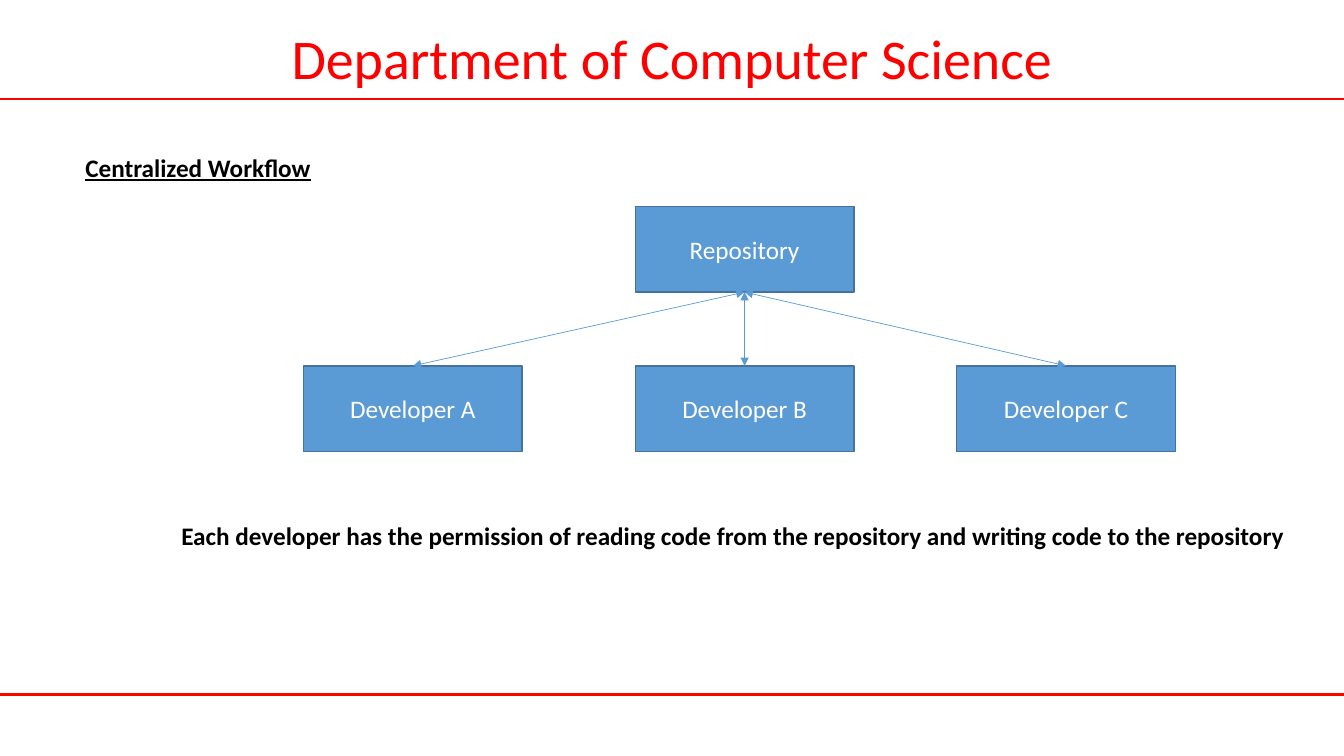
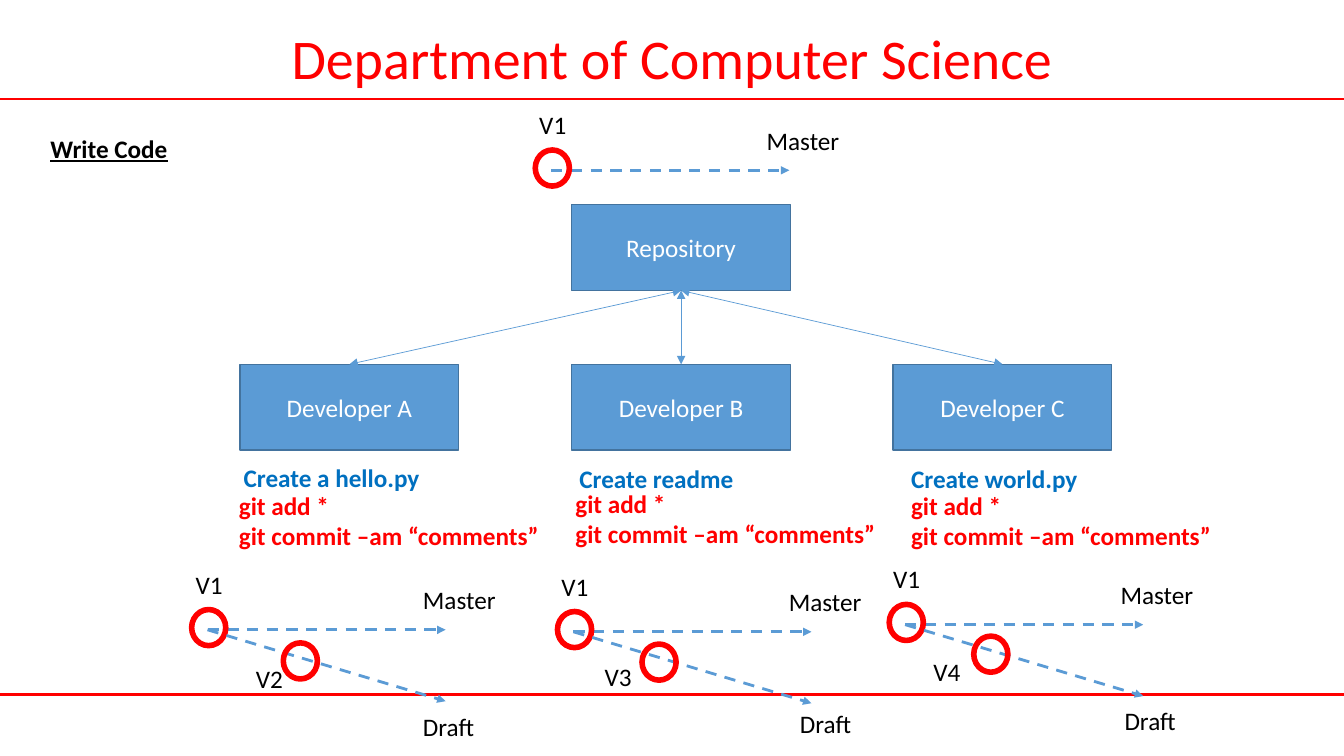
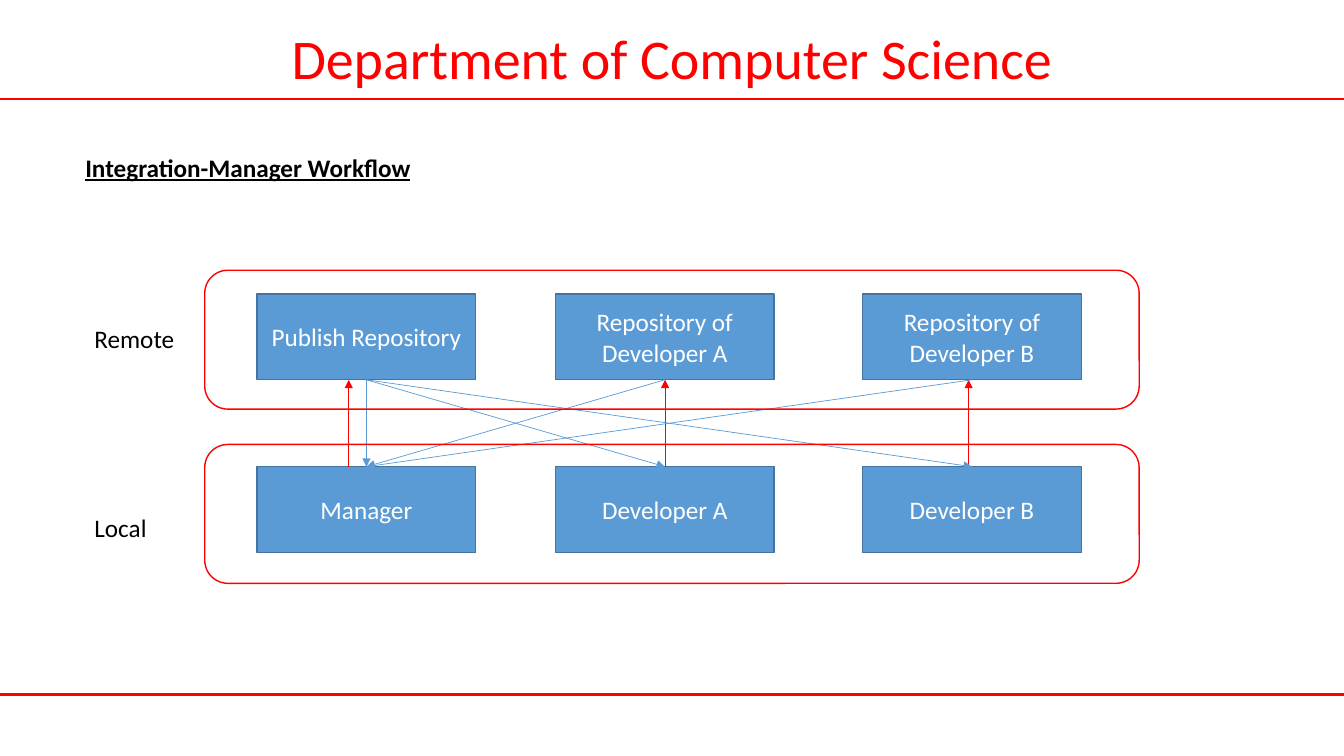
from dataclasses import dataclass
from typing import Optional

from lxml import etree
from pptx import Presentation
from pptx.dml.color import RGBColor
from pptx.enum.dml import MSO_LINE
from pptx.enum.shapes import MSO_CONNECTOR, MSO_SHAPE
from pptx.enum.text import MSO_ANCHOR, MSO_AUTO_SIZE, PP_ALIGN
from pptx.oxml.ns import qn
from pptx.shapes.autoshape import Shape
from pptx.slide import Slide
from pptx.text.text import TextFrame
from pptx.util import Cm, Pt

RED = RGBColor(0xFF, 0, 0)
BLUE = RGBColor(0x5B, 0x9B, 0xD5)
EDGE = RGBColor(0x43, 0x73, 0x9E)
TASK = RGBColor(0, 0x70, 0xC0)
BLACK = RGBColor(0, 0, 0)
WHITE = RGBColor(0xFF, 0xFF, 0xFF)

RECT, ROUND, OVAL = MSO_SHAPE.RECTANGLE, MSO_SHAPE.ROUNDED_RECTANGLE, MSO_SHAPE.OVAL
STRAIGHT, DASH = MSO_CONNECTOR.STRAIGHT, MSO_LINE.DASH
LEFT, CENTER, MIDDLE = PP_ALIGN.LEFT, PP_ALIGN.CENTER, MSO_ANCHOR.MIDDLE
FIT = MSO_AUTO_SIZE.SHAPE_TO_FIT_TEXT

FONT = "Calibri"
WIDE, HIGH = 33.87, 19.05
BOX_W, BOX_H = 5.51, 2.16
ROW_H = 1.02
Point = tuple[float, float]


@dataclass
class Label:
    text: str
    left: float
    top: float
    width: float
    height: float = ROW_H
    color: RGBColor = BLACK
    size: float = 18
    bold: bool = False
    under: bool = False
    align: PP_ALIGN = LEFT


@dataclass
class Link:
    start: Point
    end: Point
    color: RGBColor = BLUE
    width: float = 0.5
    dash: bool = False
    head: bool = False
    tail: bool = True


@dataclass
class Job:
    task: Label
    code: Point
    start: Point
    name: str
    name_at: Point
    commit: Point
    draft: Point


# Basic parts
def style(frame: TextFrame, spec: Label) -> None:
    frame.text = spec.text
    for para in frame.paragraphs:
        para.alignment = spec.align
        for run in para.runs:
            font = run.font
            font.name, font.size = FONT, Pt(spec.size)
            font.color.rgb = spec.color
            font.bold, font.underline = spec.bold, spec.under


def write(slide: Slide, label: Label) -> None:
    area = (label.left, label.top, label.width, label.height)
    frame = slide.shapes.add_textbox(*map(Cm, area)).text_frame
    frame.word_wrap = False
    frame.auto_size = FIT
    style(frame, label)


def shape(slide: Slide, kind: MSO_SHAPE, at: Point, size: Point,
          line: RGBColor, width: float, fill: Optional[RGBColor] = None) -> Shape:
    item = slide.shapes.add_shape(kind, *map(Cm, at + size))
    item.shadow.inherit = False
    if fill is None:
        item.fill.background()
    else:
        item.fill.solid()
        item.fill.fore_color.rgb = fill
    item.line.color.rgb, item.line.width = line, Pt(width)
    return item


def box(slide: Slide, text: str, at: Point) -> None:
    frame = shape(slide, RECT, at, (BOX_W, BOX_H), EDGE, 1, BLUE).text_frame
    frame.word_wrap = True
    frame.vertical_anchor = MIDDLE
    style(frame, Label(text, *at, BOX_W, color=WHITE, align=CENTER))


def ring(slide: Slide, at: Point) -> None:
    shape(slide, OVAL, at, (0.86, 0.91), RED, 4)


def join(slide: Slide, link: Link) -> None:
    wire = slide.shapes.add_connector(STRAIGHT, *map(Cm, link.start + link.end))
    wire.line.color.rgb, wire.line.width = link.color, Pt(link.width)
    if link.dash:
        wire.line.dash_style = DASH
    edge = wire.get_or_add_ln()
    for tag, shown in (("a:headEnd", link.head), ("a:tailEnd", link.tail)):
        if shown:
            etree.SubElement(edge, qn(tag), type="triangle")
    etree.SubElement(wire.element.spPr, qn("a:effectLst"))


# Groups of parts
def page(deck: Presentation, heading: Label) -> Slide:
    slide = deck.slides.add_slide(deck.slide_layouts[6])
    for y in (2.5, 17.5):
        join(slide, Link((0, y), (WIDE, y), RED, 1.5, tail=False))
    write(slide, Label("Department of Computer Science", 6.98, 0.46, 19.9, 1.96,
                       RED, 40, align=CENTER))
    heading.bold = heading.under = True
    write(slide, heading)
    return slide


def tree(slide: Slide, left: float, top: float) -> None:
    mid, low = left + 8.36, top + 4.02
    box(slide, "Repository", (mid, top))
    for letter, x in zip("ABC", (left, mid, left + 16.46)):
        box(slide, f"Developer {letter}", (x, low))
        join(slide, Link((x + BOX_W / 2, low), (mid + BOX_W / 2, top + BOX_H), head=True))


def branch(slide: Slide, start: Point) -> None:
    x, y = start
    join(slide, Link(start, (x + 6, y), width=2, dash=True))
    ring(slide, (x - 0.4, y - 0.51))
    write(slide, Label("V1", x - 0.55, y - 1.66, 1.19))
    write(slide, Label("Master", x + 5.18, y - 1.26, 2.36))


def work(slide: Slide, job: Job) -> None:
    write(slide, job.task)
    write(slide, Label("git add *\ngit commit –am “comments”", *job.code, 8.13, 1.8,
                       RED, bold=True))
    branch(slide, job.start)
    x, y = job.start
    join(slide, Link(job.start, (x + 6, y + 1.8), width=2, dash=True))
    ring(slide, job.commit)
    write(slide, Label(job.name, *job.name_at, 1.19))
    write(slide, Label("Draft", *job.draft, 1.83))


deck = Presentation()
deck.slide_width, deck.slide_height = Cm(WIDE), Cm(HIGH)

# Centralized workflow
slide = page(deck, Label("Centralized Workflow", 1.9, 3.71, 6.25))
tree(slide, 7.65, 5.2)
write(slide, Label("Each developer has the permission of reading code from the "
                   "repository and writing code to the repository",
                   4.32, 12.98, 28.52, bold=True))

# Write code
slide = page(deck, Label("Write Code", 1.02, 3.23, 3.48))
tree(slide, 6.05, 5.16)
branch(slide, (13.89, 4.29))
JOBS = (
    Job(Label("Create a hello.py", 5.89, 11.53, 4.98, color=TASK, bold=True),
        (5.77, 12.22), (5.23, 15.87), "V2", (6.2, 16.59), (7.14, 16.2), (10.41, 17.81)),
    Job(Label("Create readme", 14.35, 11.55, 4.42, color=TASK, bold=True),
        (14.25, 12.17), (14.45, 15.92), "V3", (14.99, 16.54), (16.18, 16.23), (19.91, 17.73)),
    Job(Label("Create world.py", 22.71, 11.55, 4.72, color=TASK, bold=True),
        (22.71, 12.22), (22.81, 15.74), "V4", (23.27, 16.41), (24.54, 16.03), (28.09, 17.65)),
)
for job in JOBS:
    work(slide, job)

# Integration-manager workflow
slide = page(deck, Label("Integration-Manager Workflow", 1.9, 3.71, 8.79))
COLS = (6.48, 14.0, 21.74)
REMOTE, LOCAL = 7.41, 11.76
ROWS = {
    REMOTE: ("Publish Repository", "Repository of Developer A", "Repository of Developer B"),
    LOCAL: ("Manager", "Developer A", "Developer B"),
}
for top, names in ROWS.items():
    for left, name in zip(COLS, names):
        box(slide, name, (left, top))

base = REMOTE + BOX_H
lead, *devs = [left + BOX_W / 2 for left in COLS]
for x in (8.79, 16.76, 24.41):
    join(slide, Link((x, LOCAL), (x, base), RED))
for x in (lead, *devs):
    join(slide, Link((lead, base), (x, LOCAL)))
for x in devs:
    join(slide, Link((x, base), (lead, LOCAL)))

for top in (6.81, 11.2):
    shape(slide, ROUND, (5.16, top), (23.55, 3.5), RED, 1)
write(slide, Label("Remote", 2.13, 8.03, 2.54))
write(slide, Label("Local", 2.13, 12.78, 1.85))

deck.save("out.pptx")
